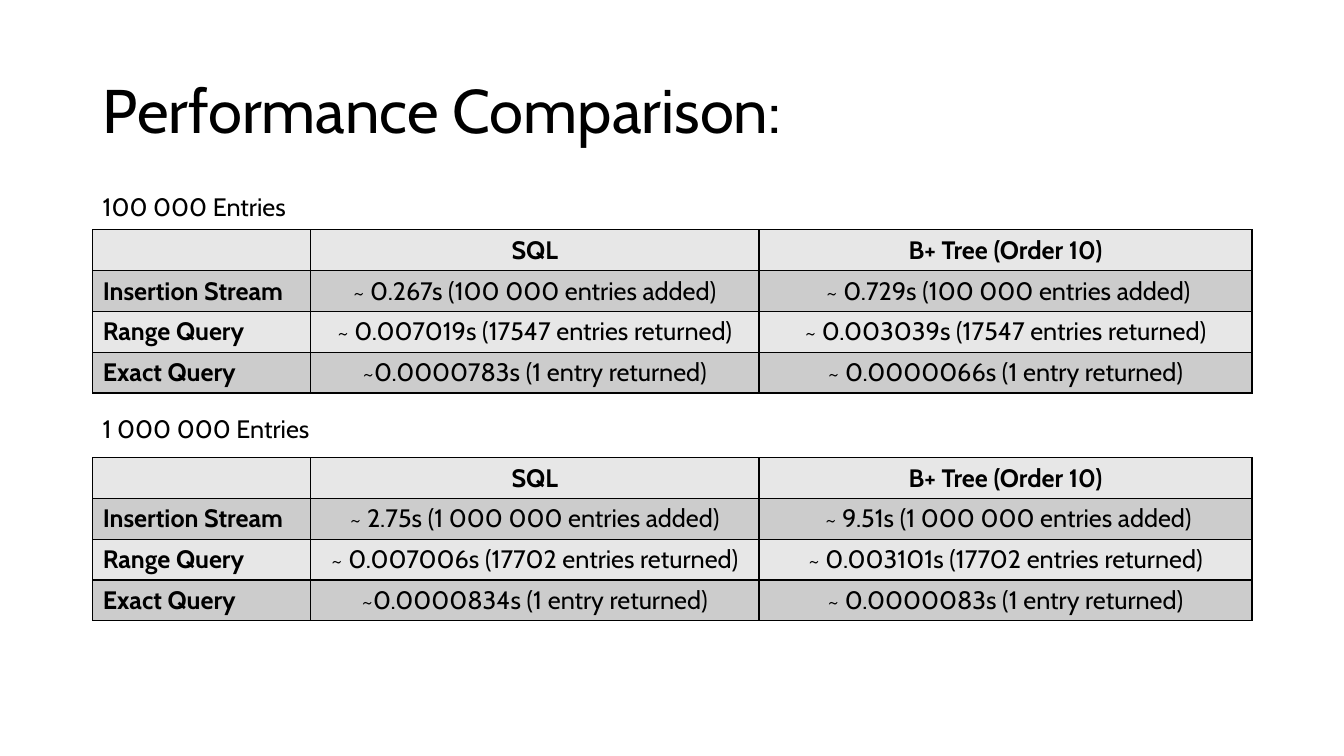
from dataclasses import dataclass

from lxml import etree
from pptx import Presentation
from pptx import util as u
from pptx.dml.color import RGBColor
from pptx.enum import text
from pptx.oxml import ns

FONT = "Cabin"
BLACK = RGBColor(0x00, 0x00, 0x00)
BANDS = (RGBColor(0xE7, 0xE7, 0xE7), RGBColor(0xCC, 0xCC, 0xCC))

# Lengths are percentages of the slide's width or height
PAGE_WIDTH, PAGE_HEIGHT = u.Inches(13.33), u.Inches(7.5)
LEFT = 6.9
COLUMN_WIDTHS = (16.2, 33.38, 36.68)
ROW_HEIGHT = 5.4
LABEL_WIDTH, LABEL_HEIGHT = 48.54, 5.33
HEADINGS = ("", "SQL", "B+ Tree (Order 10)")


@dataclass(frozen=True)
class Benchmark:
    label: str
    label_top: float
    table_top: float
    results: tuple[tuple[str, str, str], ...]


BENCHMARKS = (
    Benchmark("100 000 Entries", 24.67, 30.4, (
        ("Insertion Stream", "~ 0.267s (100 000 entries added)",
         " ~ 0.729s (100 000 entries added)"),
        ("Range Query", "~ 0.007019s (17547 entries returned)",
         "~ 0.003039s (17547 entries returned)"),
        ("Exact Query", "~0.0000783s (1 entry returned)",
         "~ 0.0000066s (1 entry returned)"),
    )),
    Benchmark("1 000 000 Entries", 54, 60.53, (
        ("Insertion Stream", "~ 2.75s (1 000 000 entries added)",
         " ~ 9.51s (1 000 000 entries added)"),
        ("Range Query", "~ 0.007006s (17702 entries returned)",
         "~ 0.003101s (17702 entries returned)"),
        ("Exact Query", "~0.0000834s (1 entry returned)",
         "~ 0.0000083s (1 entry returned)"),
    )),
)


def across(share: float) -> int:
    return round(PAGE_WIDTH * share / 100)


def down(share: float) -> int:
    return round(PAGE_HEIGHT * share / 100)


def style_runs(para, size: int, bold: bool = False) -> None:
    for span in para.runs:
        span.font.name = FONT
        span.font.size = u.Pt(size)
        span.font.bold = bold
        span.font.color.rgb = BLACK


def add_text(page, words: str, top: float, width: float, height: float, size: int):
    box = page.shapes.add_textbox(across(LEFT), down(top), across(width), down(height))
    frame = box.text_frame
    frame.word_wrap = True
    frame.text = words
    style_runs(frame.paragraphs[0], size)
    return frame


def add_borders(cell) -> None:
    properties = cell._tc.get_or_add_tcPr()
    for side in ("a:lnL", "a:lnR", "a:lnT", "a:lnB"):
        line = etree.SubElement(properties, ns.qn(side), w=str(u.Pt(1)))
        fill = etree.SubElement(line, ns.qn("a:solidFill"))
        etree.SubElement(fill, ns.qn("a:srgbClr"), val=str(BLACK))


def add_results(page, benchmark: Benchmark) -> None:
    rows = (HEADINGS, *benchmark.results)
    table = page.shapes.add_table(
        len(rows), len(HEADINGS), across(LEFT), down(benchmark.table_top),
        across(sum(COLUMN_WIDTHS)), down(ROW_HEIGHT * len(rows))).table
    table.first_row = table.horz_banding = False
    for column, width in zip(table.columns, COLUMN_WIDTHS):
        column.width = across(width)
    for row_number, words in enumerate(rows):
        table.rows[row_number].height = down(ROW_HEIGHT)
        for column_number, word in enumerate(words):
            cell = table.cell(row_number, column_number)
            add_borders(cell)
            cell.fill.solid()
            cell.fill.fore_color.rgb = BANDS[row_number % 2]
            cell.text_frame.text = word
            para = cell.text_frame.paragraphs[0]
            if column_number > 0:
                para.alignment = text.PP_ALIGN.CENTER
            style_runs(para, 18, bold=row_number == 0 or column_number == 0)


def main() -> None:
    deck = Presentation()
    deck.slide_width, deck.slide_height = PAGE_WIDTH, PAGE_HEIGHT
    page = deck.slides.add_slide(deck.slide_layouts[6])

    # Title
    title = add_text(page, "Performance Comparison:", 5.33, sum(COLUMN_WIDTHS), 19.33, 44)
    title.vertical_anchor = text.MSO_ANCHOR.MIDDLE
    title.paragraphs[0].line_spacing = 0.9

    # Labelled result tables
    for benchmark in BENCHMARKS:
        add_results(page, benchmark)
        label = add_text(page, benchmark.label, benchmark.label_top,
                         LABEL_WIDTH, LABEL_HEIGHT, 18)
        label.auto_size = text.MSO_AUTO_SIZE.SHAPE_TO_FIT_TEXT

    deck.save("out.pptx")


if __name__ == "__main__":
    main()
